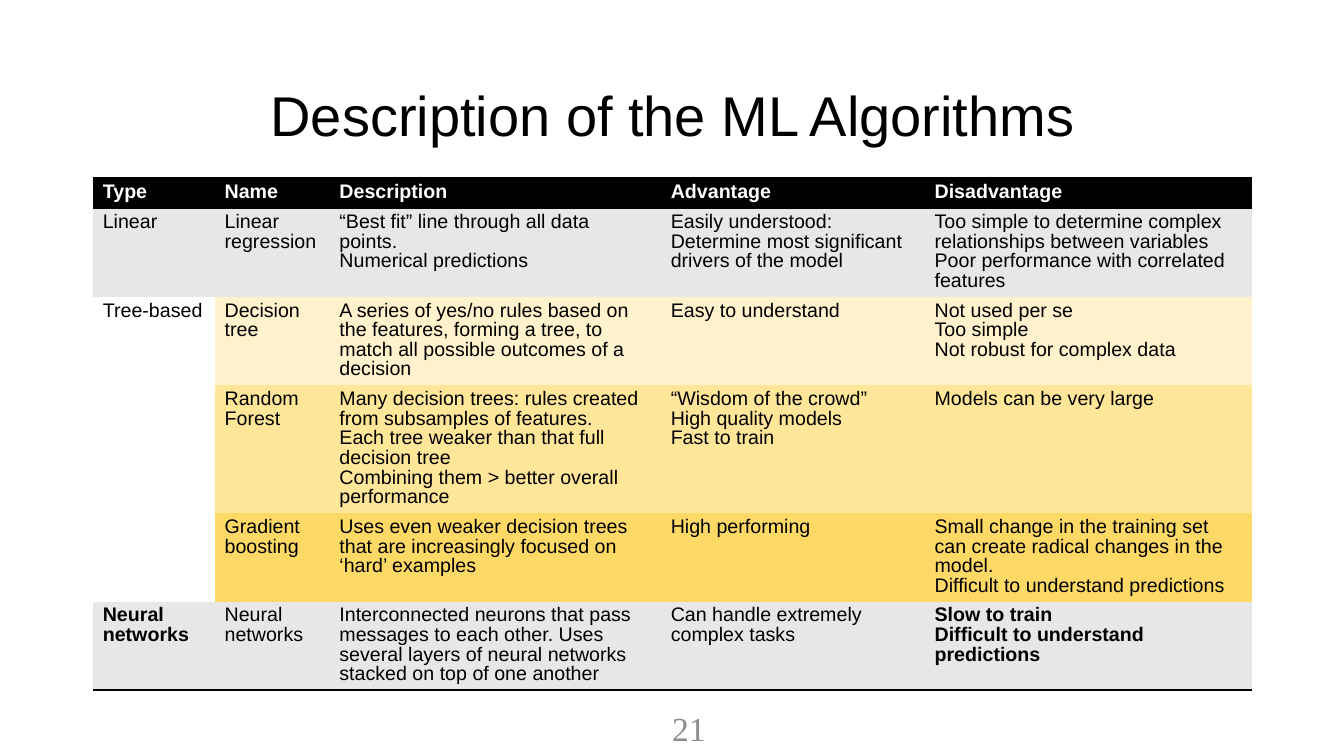
import dataclasses

import pptx
import pptx.dml.color
import pptx.enum.text
import pptx.oxml
import pptx.oxml.ns
import pptx.util

ALIGN = pptx.enum.text.PP_ALIGN
MIDDLE = pptx.enum.text.MSO_ANCHOR.MIDDLE
PLAIN_GRID = "{2D5ABB26-0587-4C30-8999-92F81FD0307C}"


@dataclasses.dataclass(frozen=True)
class Theme:
    sans: str = "Arial"
    serif: str = "Times New Roman"
    black: str = "000000"
    white: str = "FFFFFF"
    mute: str = "8C8C8C"
    gray: str = "E7E7E7"
    pale: str = "FFF2CC"
    gold: str = "FFE699"
    deep: str = "FFD966"
    head: int = 40
    body: int = 14
    page: int = 24
    rule: int = 2


THEME = Theme()
WIDE = pptx.util.Inches(13.33)
HIGH = pptx.util.Inches(7.5)

COLS = (1.21, 1.14, 3.29, 2.62, 3.25)  # relative widths
# Each row: fill, lines of text, cells (a line break starts a paragraph)
ROWS = (
    (THEME.black, 1, ("Type", "Name", "Description", "Advantage", "Disadvantage")),
    (THEME.gray, 4, (
        "Linear", "Linear regression",
        "“Best fit” line through all data points.\nNumerical predictions",
        "Easily understood: Determine most significant drivers of the model",
        "Too simple to determine complex relationships between variables\n"
        "Poor performance with correlated features")),
    (THEME.pale, 4, (
        "Tree-based", "Decision tree",
        "A series of yes/no rules based on the features, forming a tree, "
        "to match all possible outcomes of a decision",
        "Easy to understand",
        "Not used per se\nToo simple\nNot robust for complex data")),
    (THEME.gold, 6, (
        "", "Random Forest",
        "Many decision trees: rules created from subsamples of features.\n"
        "Each tree weaker than that full decision tree\n"
        "Combining them > better overall performance",
        "“Wisdom of the crowd”\nHigh quality models\nFast to train",
        "Models can be very large")),
    (THEME.deep, 4, (
        "", "Gradient boosting",
        "Uses even weaker decision trees that are increasingly focused on "
        "‘hard’ examples",
        "High performing",
        "Small change in the training set can create radical changes in the model.\n"
        "Difficult to understand predictions")),
    (THEME.gray, 4, (
        "Neural networks", "Neural networks",
        "Interconnected neurons that pass messages to each other. Uses several "
        "layers of neural networks stacked on top of one another",
        "Can handle extremely complex tasks",
        "Slow to train\nDifficult to understand predictions")),
)
TREE = range(2, 5)
LAST = len(ROWS) - 1


def area(left, top, width, height):
    """Turn percentages of the slide into a box."""
    return tuple(int(part * side / 100) for part, side in
                 zip((left, top, width, height), (WIDE, HIGH) * 2))


def apply(item, form):
    for name, value in form.items():
        setattr(item, name, value)


def write(frame, text, color, font, para=None):
    frame.text = text
    for line in frame.paragraphs:
        apply(line, para or {})
        apply(line.font, font)
        line.font.color.rgb = pptx.dml.color.RGBColor.from_string(color)


def border(cell, sides):
    props = cell._tc.get_or_add_tcPr()
    for side in sides:
        props.append(pptx.oxml.parse_xml(
            f'<a:ln{side} {pptx.oxml.ns.nsdecls("a")} '
            f'w="{pptx.util.Pt(THEME.rule)}"><a:solidFill>'
            f'<a:srgbClr val="{THEME.black}"/></a:solidFill></a:ln{side}>'))


def add_title(slide, box):
    title = slide.shapes.title
    apply(title, dict(zip(("left", "top", "width", "height"), box)))
    frame = title.text_frame
    apply(frame, {"word_wrap": True, "vertical_anchor": MIDDLE})
    write(frame, "Description of the ML Algorithms", THEME.black,
          {"name": THEME.sans, "size": pptx.util.Pt(THEME.head)},
          {"alignment": ALIGN.CENTER, "line_spacing": 0.9})


def fill_cell(cell, row, col, tint, text):
    top = row == 0
    sides = "TB" if top else "B" if row == LAST else ""
    border(cell, sides)
    cell.fill.solid()
    if col == 0 and row in TREE:
        tint = THEME.white
    cell.fill.fore_color.rgb = pptx.dml.color.RGBColor.from_string(tint)
    bold = top or (row == LAST and col in (0, len(COLS) - 1))
    size = pptx.util.Pt(THEME.body)
    write(cell.text_frame, text, THEME.white if top else THEME.black,
          {"name": THEME.sans, "size": size, "bold": bold},
          {"line_spacing": size})


def add_grid(slide, box):
    frame = slide.shapes.add_table(len(ROWS), len(COLS), *box)
    table = frame.table
    props = table._tbl.tblPr
    props.find(pptx.oxml.ns.qn("a:tableStyleId")).text = PLAIN_GRID
    apply(table, {"first_row": True, "horz_banding": False})
    for share, column in zip(COLS, table.columns):
        column.width = int(box[2] * share / sum(COLS))
    for row, (tint, lines, texts) in enumerate(ROWS):
        table.rows[row].height = (pptx.util.Pt(THEME.body * lines)
                                  + pptx.util.Inches(0.1))
        for col, text in enumerate(texts):
            fill_cell(table.cell(row, col), row, col, tint, text)
    table.cell(TREE[0], 0).merge(table.cell(TREE[-1], 0))


def add_page(slide, box):
    frame = slide.shapes.add_textbox(*box).text_frame
    apply(frame, {"word_wrap": True, "vertical_anchor": MIDDLE})
    write(frame, "21", THEME.mute,
          {"name": THEME.serif, "size": pptx.util.Pt(THEME.page)},
          {"alignment": ALIGN.RIGHT})


def main():
    deck = pptx.Presentation()
    apply(deck, {"slide_width": WIDE, "slide_height": HIGH})
    slide = deck.slides.add_slide(deck.slide_layouts.get_by_name("Title Only"))
    add_title(slide, area(6.9, 6, 86.25, 19.33))
    add_grid(slide, area(6.9, 23.6, 86.25, 67.6))
    add_page(slide, area(30.75, 93.6, 22.5, 5.33))
    deck.save("out.pptx")


if __name__ == "__main__":
    main()
